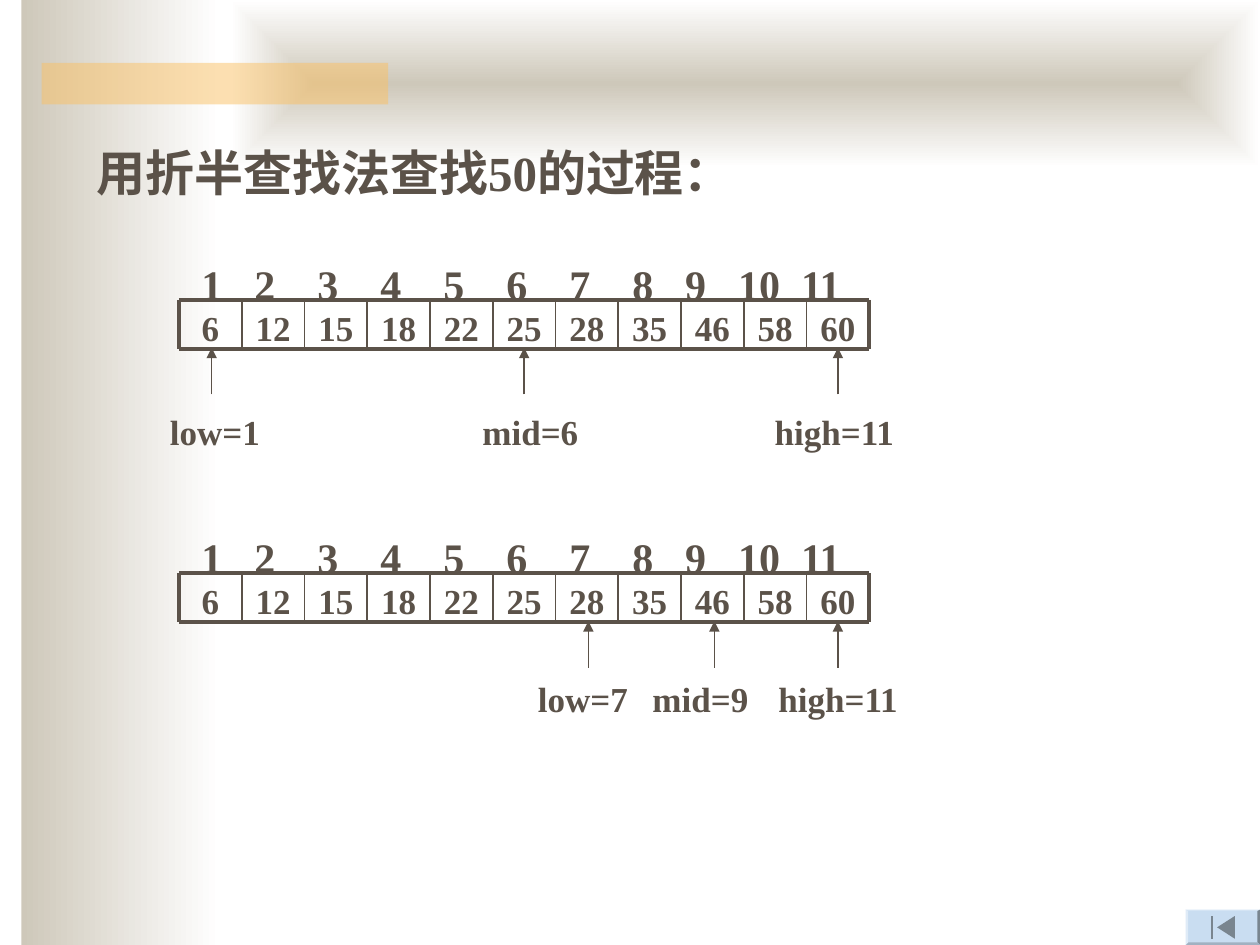
from itertools import accumulate

from lxml.etree import SubElement
from pptx import Presentation
from pptx.dml.color import RGBColor
from pptx.enum.shapes import MSO_CONNECTOR as CONNECTOR, MSO_SHAPE as SHAPE
from pptx.enum.text import MSO_AUTO_SIZE as AUTO_SIZE, PP_ALIGN as ALIGN
from pptx.oxml.ns import qn
from pptx.util import Inches, Pt

INK = "5B5249"
BEIGE, WHITE, ORANGE = "CEC8BA", "FFFFFF", "FAC164"

VALUES = [6, 12, 15, 18, 22, 25, 28, 35, 46, 58, 60]
ROW_LEFT, ROW_RIGHT, ROW_HEIGHT = 1.42, 6.9, 0.39
CELL_WIDTH = (ROW_RIGHT - ROW_LEFT) / len(VALUES)
# Distance from each index to the next, starting at the text edge
INDEX_STEPS = [0.25, 0.42] + [0.5] * 6 + [0.42, 0.42, 0.5]

# Each step: row top, label offset, then pointers as (text, arrow x, label left, label width)
STEPS = [
    (2.38, 0.83, [("low=1", 1.68, 1.25, 1.12), ("mid=6", 4.16, 3.73, 1.11),
                  ("high=11", 6.65, 6.05, 1.29)]),
    (4.55, 0.78, [("low=7", 4.67, 4.17, 1.12), ("mid=9", 5.67, 5.08, 1.11),
                  ("high=11", 6.65, 6.08, 1.28)]),
]

# Faces of the navigation button: colour and corner points
BUTTON_FACES = [
    ("C9DDF1", [(9.41, 7.22), (10, 7.22), (10, 7.5), (9.41, 7.5)]),
    ("D4E4F4", [(9.41, 7.22), (10, 7.22), (9.98, 7.23), (9.43, 7.23)]),
    ("79858F", [(10, 7.22), (10, 7.5), (9.98, 7.48), (9.98, 7.23)]),
    ("A1B1C1", [(10, 7.5), (9.41, 7.5), (9.43, 7.48), (9.98, 7.48)]),
    ("DFEBF7", [(9.41, 7.5), (9.41, 7.22), (9.43, 7.23), (9.43, 7.48)]),
    ("79858F", [(9.66, 7.36), (9.8, 7.27), (9.8, 7.45)]),
    ("79858F", [(9.61, 7.27), (9.63, 7.27), (9.63, 7.45), (9.61, 7.45)]),
]


def rgb(color):
    return RGBColor.from_string(color)


def add_panel(shapes, left, top, width, height):
    panel = shapes.add_shape(SHAPE.RECTANGLE, Inches(left), Inches(top),
                             Inches(width), Inches(height))
    panel.shadow.inherit = False
    panel.line.fill.background()
    return panel


def fill_gradient(panel, from_center=False):
    panel.fill.gradient()
    panel.fill.gradient_angle = 0
    for stop, color in zip(panel.fill.gradient_stops, (BEIGE, WHITE)):
        stop.color.rgb = rgb(color)
    if from_center:
        gradient = panel._element.spPr.find(qn("a:gradFill"))
        gradient.remove(gradient.find(qn("a:lin")))
        center = SubElement(gradient, qn("a:path"), {"path": "rect"})
        SubElement(center, qn("a:fillToRect"), dict.fromkeys("ltrb", "50000"))


def add_text(shapes, text, left, top, width, height, size, align=None, grow=True, tabs=()):
    box = shapes.add_textbox(Inches(left), Inches(top), Inches(width), Inches(height))
    frame = box.text_frame
    frame.word_wrap = True
    frame.auto_size = AUTO_SIZE.SHAPE_TO_FIT_TEXT if grow else AUTO_SIZE.NONE
    paragraph = frame.paragraphs[0]
    if tabs:
        tab_list = SubElement(paragraph._p.get_or_add_pPr(), qn("a:tabLst"))
        for position in tabs:
            SubElement(tab_list, qn("a:tab"), {"pos": str(Inches(position)), "algn": "l"})
    paragraph.alignment = align
    run = paragraph.add_run()
    run.text = text
    style = {"name": "Times New Roman", "size": Pt(size), "bold": True}
    for attribute, value in style.items():
        setattr(run.font, attribute, value)
    run.font.color.rgb = rgb(INK)


def add_line(shapes, x1, y1, x2, y2, weight, arrow=False):
    line = shapes.add_connector(CONNECTOR.STRAIGHT, Inches(x1), Inches(y1),
                                Inches(x2), Inches(y2))
    line.line.color.rgb = rgb(INK)
    line.line.width = Pt(weight)
    if arrow:
        SubElement(line.line._get_or_add_ln(), qn("a:tailEnd"), {"type": "triangle"})
    SubElement(line._element.spPr, qn("a:effectLst"))


def add_face(shapes, color, points):
    start, *others = [(Inches(x), Inches(y)) for x, y in points]
    builder = shapes.build_freeform(*start)
    builder.add_line_segments(others, close=True)
    face = builder.convert_to_shape()
    face.shadow.inherit = False
    face.fill.solid()
    face.fill.fore_color.rgb = rgb(color)
    face.line.fill.background()


def add_background(shapes):
    fill_gradient(add_panel(shapes, 0.17, 0, 1.58, 7.5))
    fill_gradient(add_panel(shapes, 1.83, 0, 8.17, 1.33), from_center=True)
    accent = add_panel(shapes, 0.33, 0.5, 2.75, 0.33)
    accent.fill.solid()
    accent.fill.fore_color.rgb = rgb(ORANGE)
    accent_color = accent._element.spPr.find(qn("a:solidFill"))[0]
    SubElement(accent_color, qn("a:alpha"), {"val": "50000"})
    for color, points in BUTTON_FACES:
        add_face(shapes, color, points)


def add_search_step(shapes, top, label_offset, pointers):
    bottom = top + ROW_HEIGHT
    # Array cells
    for column, value in enumerate(VALUES):
        add_text(shapes, str(value), ROW_LEFT + column * CELL_WIDTH, top,
                 CELL_WIDTH, ROW_HEIGHT, 20, ALIGN.CENTER, grow=False)
    # Cell borders
    for y in (top, bottom):
        add_line(shapes, ROW_LEFT, y, ROW_RIGHT, y, 2.25)
    for column in range(len(VALUES) + 1):
        x = ROW_LEFT + column * CELL_WIDTH
        add_line(shapes, x, top, x, bottom, 2.25 if column in (0, len(VALUES)) else 1)
    # Index numbers
    indexes = "".join(f"\t{number}" for number in range(1, len(VALUES) + 1))
    add_text(shapes, indexes, 1.25, top - 0.38, 5.83, 0.5, 24,
             tabs=list(accumulate(INDEX_STEPS)))
    # Pointers and their labels
    for _, x, _, _ in pointers:
        add_line(shapes, x, top + 0.75, x, top + 0.38, 0.75, arrow=True)
    for label, _, left, width in pointers:
        add_text(shapes, label, left, top + label_offset, width, 0.44, 20)


def main():
    deck = Presentation()
    deck.slide_width, deck.slide_height = Inches(10), Inches(7.5)
    shapes = deck.slides.add_slide(deck.slide_layouts[6]).shapes
    add_background(shapes)
    add_text(shapes, "用折半查找法查找50的过程：", 0.67, 1.08, 8.83, 0.57, 28)
    for top, label_offset, pointers in STEPS:
        add_search_step(shapes.add_group_shape().shapes, top, label_offset, pointers)
    deck.save("out.pptx")


if __name__ == "__main__":
    main()
